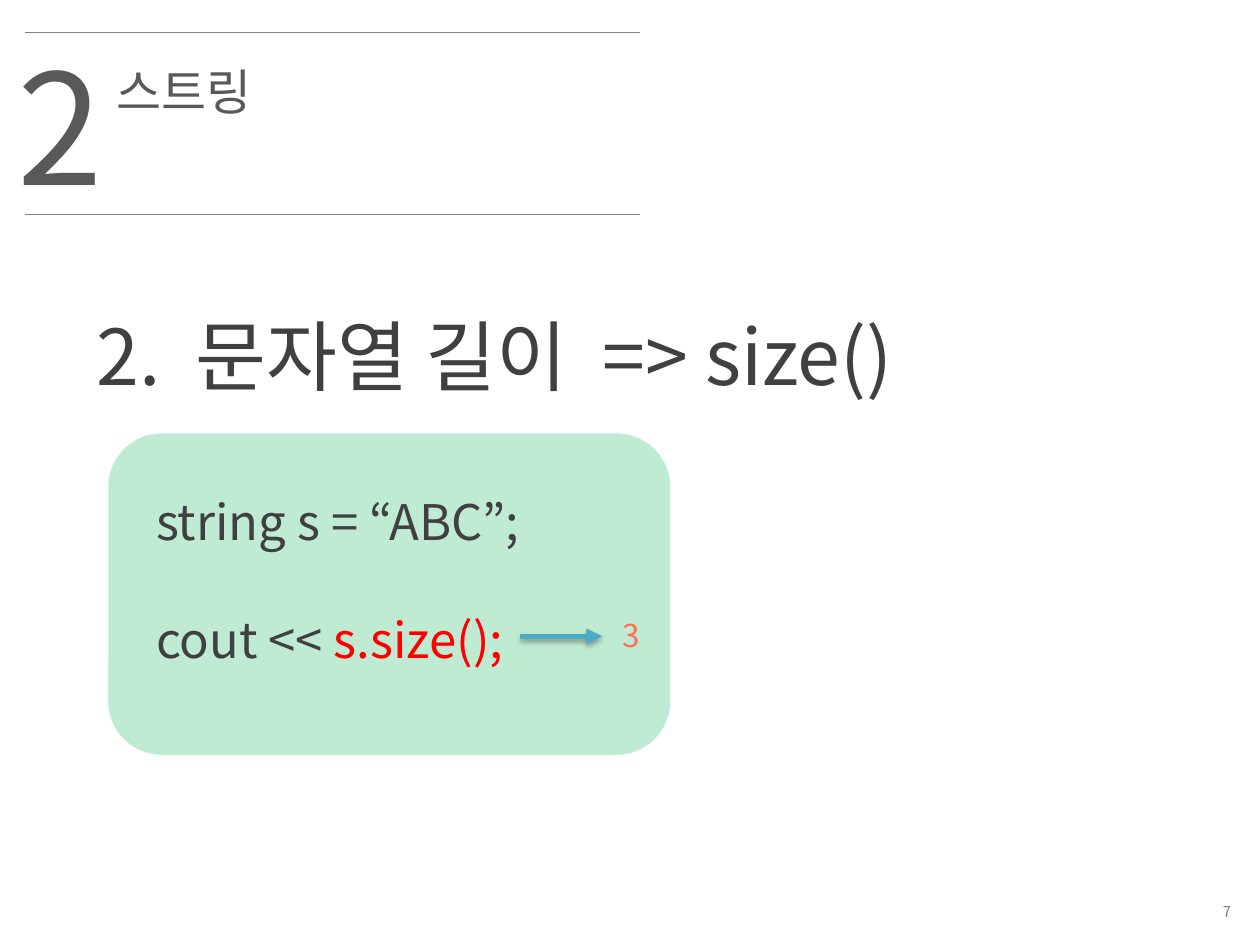
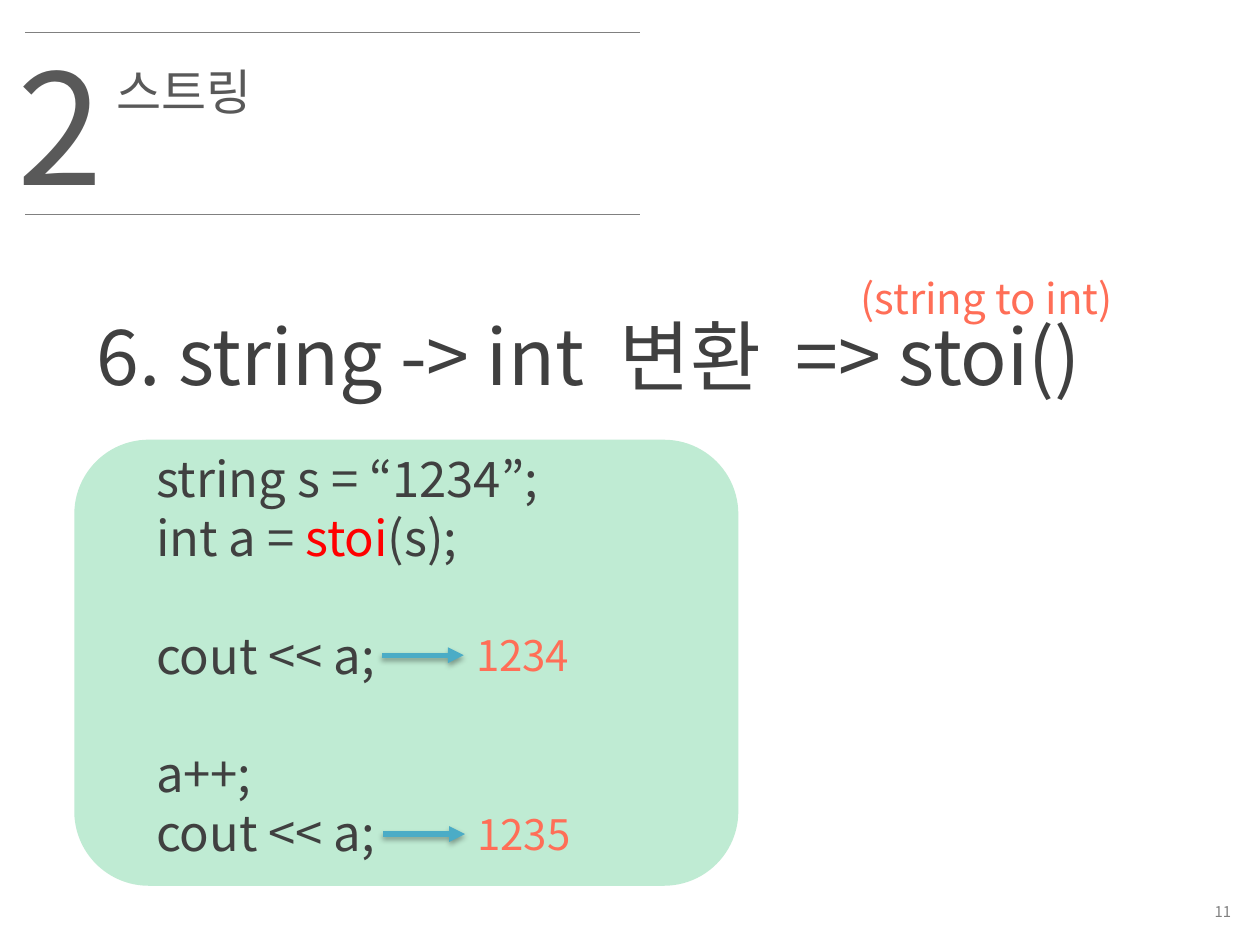
from lxml import etree
from pptx import Presentation
from pptx.dml.color import RGBColor
from pptx.enum.shapes import MSO_CONNECTOR, MSO_SHAPE
from pptx.enum.text import MSO_ANCHOR, PP_ALIGN
from pptx.oxml.ns import qn
from pptx.util import Inches, Pt

LINE = MSO_CONNECTOR.STRAIGHT
ROUNDED = MSO_SHAPE.ROUNDED_RECTANGLE
LEFT, RIGHT = PP_ALIGN.LEFT, PP_ALIGN.RIGHT
TOP, MIDDLE = MSO_ANCHOR.TOP, MSO_ANCHOR.MIDDLE

FONT = "Noto Sans CJK KR"
COLORS = {
    "rule": "808080", "header": "595959", "body": "404040", "key": "FF0000",
    "result": "FF6E57", "arrow": "4BACC6", "panel": "00B050", "shadow": "000000",
}
LINE_GAP = Pt(34)     # one empty line of code
WIDE_SPACE = "1000"   # extra letter spacing, in 1/100 pt


def rgb(name):
    return RGBColor.from_string(COLORS[name])


def add_xml(parent, tag, **attrs):
    return etree.SubElement(parent, qn(tag), attrs)


class Deck:
    def __init__(self):
        self.prs = Presentation()
        self.prs.slide_width, self.prs.slide_height = Inches(10), Inches(7.5)
        self.s = None

    def slide(self, page):
        """Start a slide with its section header and page number."""
        self.s = self.prs.slides.add_slide(self.prs.slide_layouts[6])
        for y in (0.26, 1.7):
            self.line(0.2, 5.08, y, "rule", 0.75)
        self.text("2", 0.04, 0.2, 0.79, 1.58, 88, "header")
        self.text("스트링", 0.83, 0.44, 2.13, 0.57, 28, "header")
        self.text(page, 7.76, 7.1, 2.11, 0.27, 8.5, "rule", RIGHT, MIDDLE)

    def box(self, x, y, w, h, anchor=TOP):
        sp = self.s.shapes.add_textbox(Inches(x), Inches(y), Inches(w), Inches(h))
        tf = sp.text_frame
        tf.word_wrap = True
        tf.vertical_anchor = anchor
        return tf

    def run(self, p, text, size, color):
        r = p.add_run()
        r.text = text
        r.font.name = FONT
        r.font.size = Pt(size)
        r.font.color.rgb = rgb(color)
        add_xml(r.font._element, "a:ea", typeface=FONT)
        return r

    def text(self, text, x, y, w, h, size, color, align=LEFT, anchor=TOP):
        p = self.box(x, y, w, h, anchor).paragraphs[0]
        p.alignment = align
        self.run(p, text, size, color)

    def title(self, width, *parts):
        """Write the title, with a wide space between its parts."""
        p = self.box(0.67, 2.4, width, 0.84).paragraphs[0]
        for i, part in enumerate(parts):
            if i:
                r = self.run(p, " ", 44, "body")
                r.font._element.set("spc", WIDE_SPACE)
            self.run(p, part, 44, "body")

    def panel(self, x, y, w, h):
        sp = self.s.shapes.add_shape(ROUNDED, Inches(x), Inches(y), Inches(w), Inches(h))
        sp.shadow.inherit = False
        sp.line.fill.background()
        sp.fill.solid()
        sp.fill.fore_color.rgb = rgb("panel")
        clr = sp._element.spPr.find(".//" + qn("a:srgbClr"))
        add_xml(clr, "a:alpha", val="25000")

    def code(self, y, w, h, blocks):
        """Write blocks of code lines; every second piece of a line is a key part."""
        tf = self.box(1.14, y, w, h)
        p = None
        for block in blocks:
            for i, pieces in enumerate(block):
                first = p is None
                p = tf.paragraphs[0] if first else tf.add_paragraph()
                if i == 0 and not first:
                    p.space_before = LINE_GAP
                for j, piece in enumerate(pieces):
                    self.run(p, piece, 28, "key" if j % 2 else "body")

    def line(self, x1, x2, y, color, width):
        c = self.s.shapes.add_connector(LINE, Inches(x1), Inches(y), Inches(x2), Inches(y))
        c.line.color.rgb = rgb(color)
        c.line.width = Pt(width)
        return c, add_xml(c._element.spPr, "a:effectLst")

    def arrow(self, x, y):
        c, effects = self.line(x, x + 0.65, y, "arrow", 3)
        add_xml(c.line._get_or_add_ln(), "a:tailEnd", type="triangle")
        shadow = add_xml(effects, "a:outerShdw", blurRad=str(Pt(3.1)),
                         dist=str(Pt(1.8)), dir="5400000", rotWithShape="0")
        clr = add_xml(shadow, "a:srgbClr", val=COLORS["shadow"])
        add_xml(clr, "a:alpha", val="35000")


def main():
    deck = Deck()

    # String length
    deck.slide("7")
    deck.panel(0.86, 3.44, 4.46, 2.55)
    deck.title(6.93, "2.", "문자열 길이", "=> size()")
    deck.code(3.85, 3.46, 1.99, [
        [["string s = “ABC”;"]],
        [["cout << ", "s.size();"]],
    ])
    deck.arrow(4.13, 5.05)
    deck.text("3", 4.84, 4.84, 0.48, 0.4, 18, "result")

    # String to integer
    deck.slide("11")
    deck.panel(0.59, 3.49, 5.27, 3.54)
    deck.title(8.58, "6. string -> int", "변환", "=> stoi()")
    deck.text("(string to int)", 6.73, 2.11, 2.25, 0.5, 24, "result")
    deck.code(3.51, 4.8, 3.4, [
        [["string s = “1234”;"], ["int a = ", "stoi", "(s);"]],
        [["cout << a;"]],
        [["a++;"], ["cout << a;"]],
    ])
    for value, x, y in (("1234", 3.03, 5.2), ("1235", 3.04, 6.62)):
        deck.arrow(x, y)
        deck.text(value, x + 0.65, y - 0.25, 2.25, 0.5, 24, "result")

    deck.prs.save("out.pptx")


if __name__ == "__main__":
    main()
